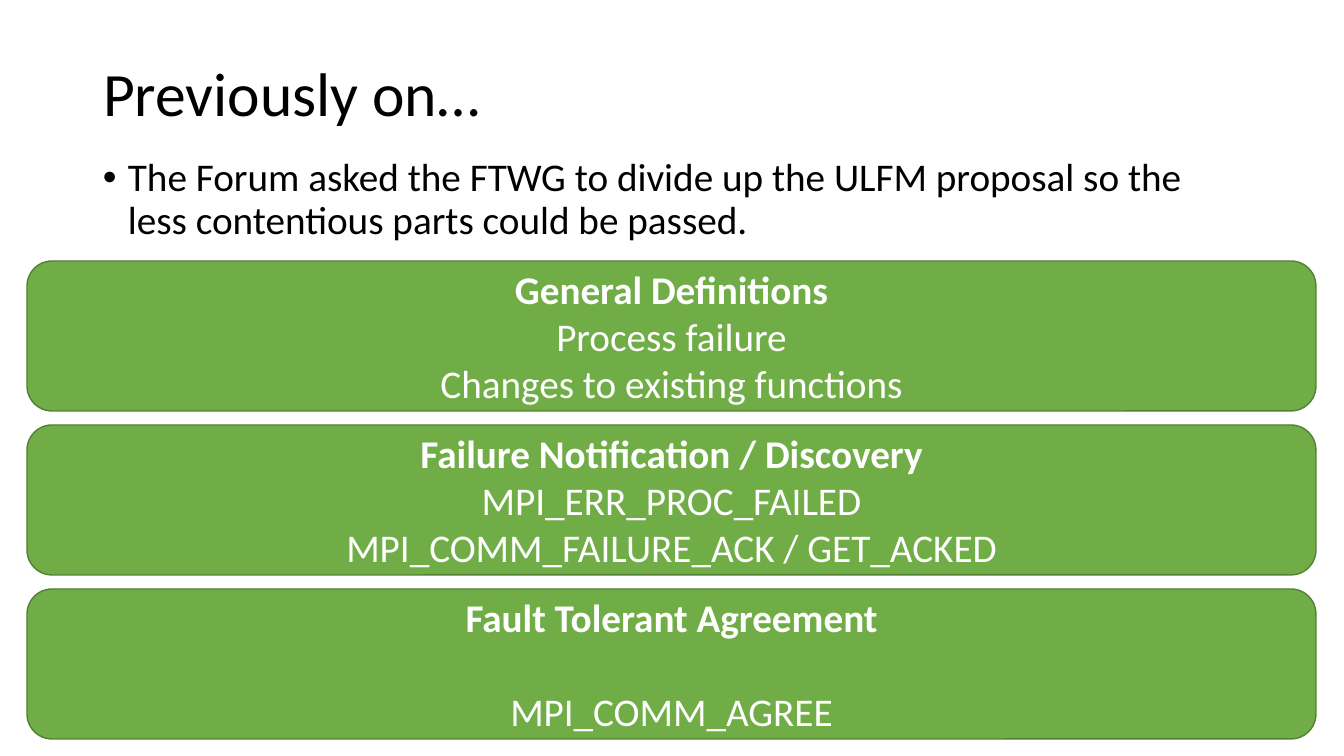
"""Build the slide that recalls how the fault tolerance proposal was divided."""
from dataclasses import dataclass

from lxml.etree import SubElement
from pptx import Presentation
from pptx.dml.color import RGBColor
from pptx.enum.shapes import MSO_SHAPE
from pptx.enum.text import MSO_ANCHOR, MSO_AUTO_SIZE, PP_ALIGN
from pptx.oxml.ns import qn
from pptx.util import Emu, Pt

EMU_PER_PX = 914400 / 100.8
SLIDE_WIDTH, SLIDE_HEIGHT = 1344, 756
TITLE_ONLY = 5
FONT = "Calibri"
COLORS = {"text": "000000", "card": "70AD47", "border": "538035", "card_text": "FFFFFF"}
CARD_LEFT, CARD_TOP, CARD_WIDTH, CARD_HEIGHT, CARD_PITCH = 27, 261, 1289, 150, 164
BULLET_INDENT = 25


@dataclass(frozen=True)
class Card:
    heading: str
    items: tuple[str, ...]
    gap: int = 0


CARDS = (
    Card("General Definitions", ("Process failure", "Changes to existing functions")),
    Card(
        "Failure Notification / Discovery",
        ("MPI_ERR_PROC_FAILED", "MPI_COMM_FAILURE_ACK / GET_ACKED"),
    ),
    Card("Fault Tolerant Agreement", ("MPI_COMM_AGREE",), gap=34),
)


def px(length: int) -> Emu:
    return Emu(round(length * EMU_PER_PX))


def color(name: str) -> RGBColor:
    return RGBColor.from_string(COLORS[name])


def place(shape, left: int, top: int, width: int, height: int) -> None:
    shape.left, shape.top = px(left), px(top)
    shape.width, shape.height = px(width), px(height)


def write(paragraph, text: str, *, size=28, fill="text", bold=False,
          align=PP_ALIGN.LEFT, line_spacing=1.0, space_before=0) -> None:
    paragraph.text = text
    paragraph.alignment = align
    paragraph.line_spacing = line_spacing
    paragraph.space_before = Pt(space_before)
    font = paragraph.font
    font.name, font.size, font.bold = FONT, Pt(size), bold
    font.color.rgb = color(fill)


def add_bullet(paragraph) -> None:
    properties = paragraph._p.get_or_add_pPr()
    properties.set("marL", str(px(BULLET_INDENT)))
    properties.set("indent", str(-px(BULLET_INDENT)))
    SubElement(properties, qn("a:buFont"), typeface="Arial")
    SubElement(properties, qn("a:buChar"), char="•")


def add_title(slide, text: str) -> None:
    title = slide.shapes.title
    place(title, 93, 40, 1159, 113)
    frame = title.text_frame
    frame.auto_size = MSO_AUTO_SIZE.NONE
    frame.vertical_anchor = MSO_ANCHOR.MIDDLE
    write(frame.paragraphs[0], text, size=44, line_spacing=0.9)


def add_body(slide, text: str) -> None:
    body = slide.shapes.add_textbox(px(93), px(153), px(1159), px(108))
    body.text_frame.word_wrap = True
    paragraph = body.text_frame.paragraphs[0]
    add_bullet(paragraph)
    write(paragraph, text, line_spacing=0.9)


def add_card(slide, card: Card, top: int) -> None:
    shape = slide.shapes.add_shape(
        MSO_SHAPE.ROUNDED_RECTANGLE,
        px(CARD_LEFT), px(top), px(CARD_WIDTH), px(CARD_HEIGHT),
    )
    shape.shadow.inherit = False
    shape.fill.solid()
    shape.fill.fore_color.rgb = color("card")
    shape.line.color.rgb = color("border")
    shape.line.width = Pt(1)
    frame = shape.text_frame
    frame.word_wrap = True
    frame.vertical_anchor = MSO_ANCHOR.MIDDLE
    write(frame.paragraphs[0], card.heading, fill="card_text", bold=True, align=PP_ALIGN.CENTER)
    for item in card.items:
        write(frame.add_paragraph(), item, fill="card_text",
              align=PP_ALIGN.CENTER, space_before=card.gap)


def main() -> None:
    presentation = Presentation()
    presentation.slide_width = px(SLIDE_WIDTH)
    presentation.slide_height = px(SLIDE_HEIGHT)
    slide = presentation.slides.add_slide(presentation.slide_layouts[TITLE_ONLY])
    add_title(slide, "Previously on…")
    add_body(
        slide,
        "The Forum asked the FTWG to divide up the ULFM proposal "
        "so the less contentious parts could be passed.",
    )
    for index, card in enumerate(CARDS):
        add_card(slide, card, CARD_TOP + index * CARD_PITCH)
    presentation.save("out.pptx")


if __name__ == "__main__":
    main()
